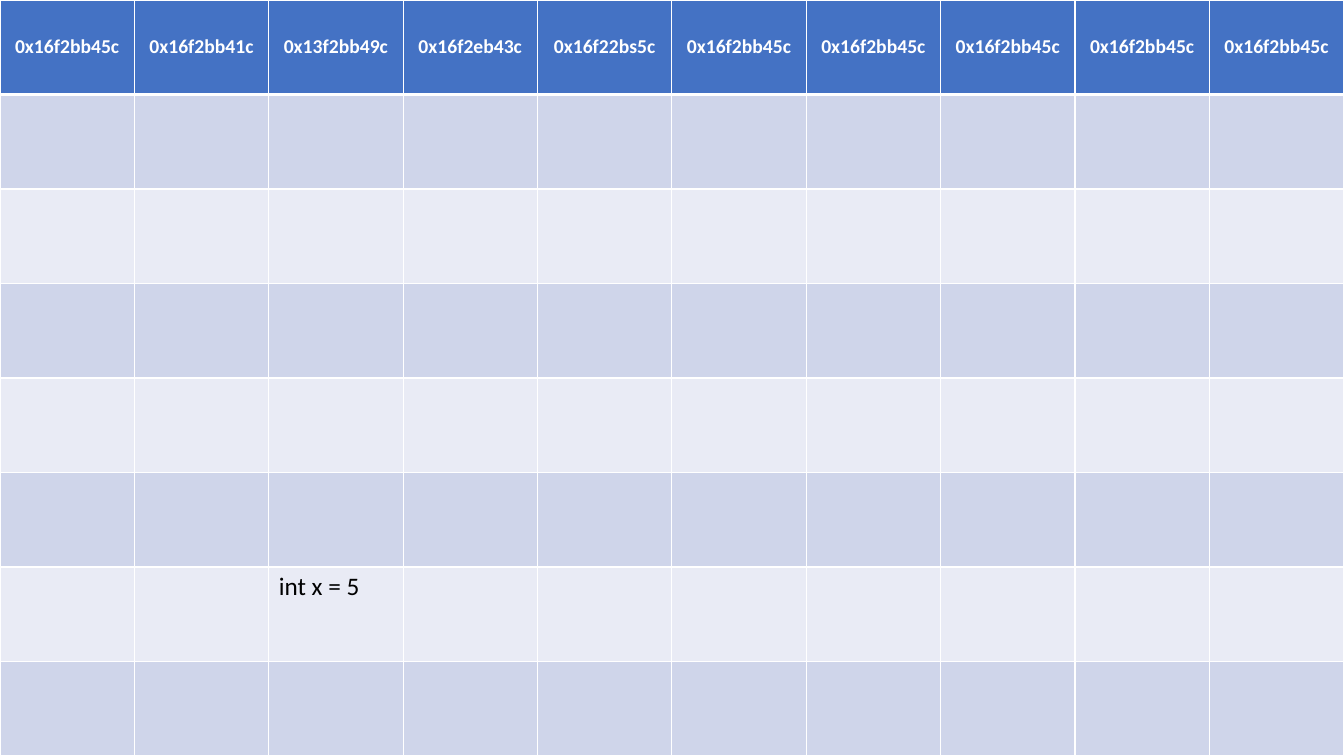
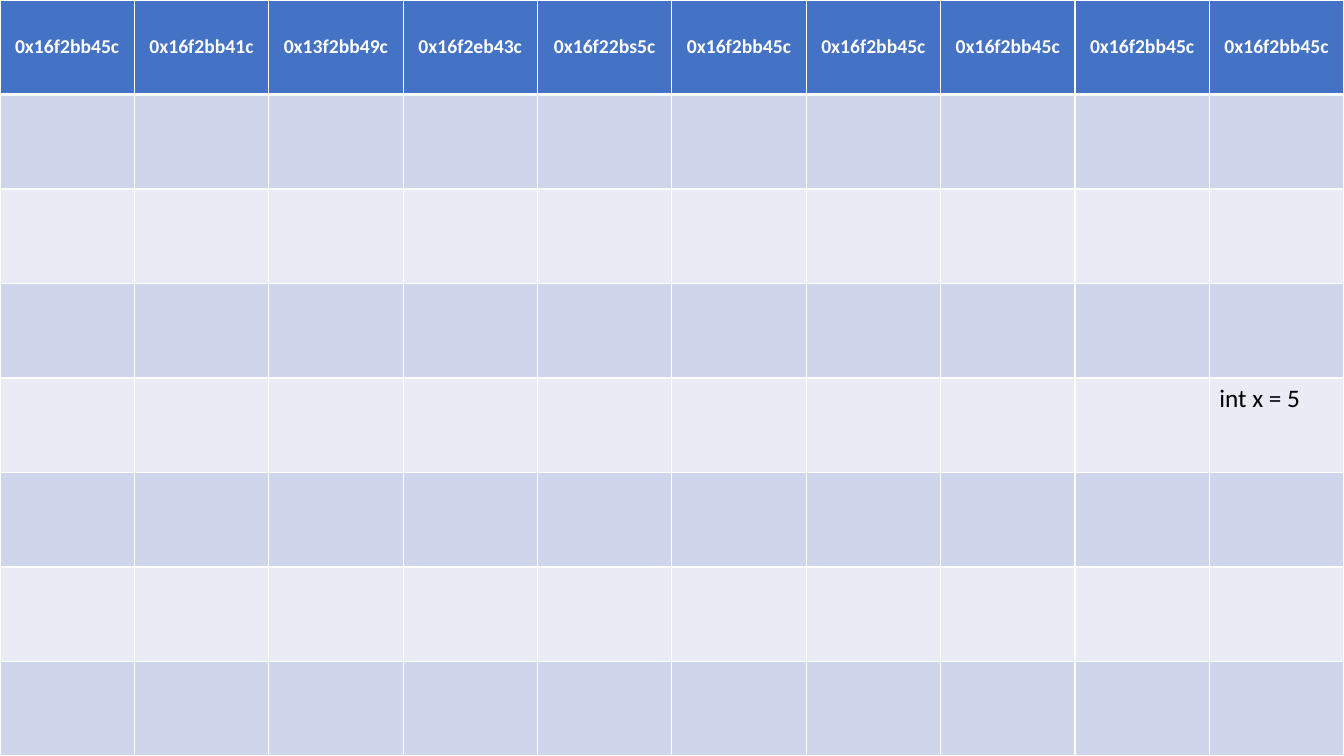
from dataclasses import dataclass

import lxml.etree
import pptx
import pptx.dml.color
import pptx.enum.text
import pptx.oxml.ns
import pptx.presentation
import pptx.table
import pptx.util

Pt = pptx.util.Pt
qn = pptx.oxml.ns.qn

# Shared look
COLORS = {
    "header": "4472C4",
    "odd_row": "CFD5EA",
    "even_row": "E9EBF5",
    "grid": "FFFFFF",
    "address": "FFFFFF",
    "variable": "000000",
}
FONT = "Calibri"
SLIDE_WIDTH, SLIDE_HEIGHT = 960, 540
ROW_COUNT = 8
GRID_LINE, HEADER_LINE = 1, 3

ADDRESSES = ["0x16f2bb45c", "0x16f2bb41c", "0x13f2bb49c", "0x16f2eb43c", "0x16f22bs5c"]
ADDRESSES += ["0x16f2bb45c"] * 5


@dataclass(frozen=True)
class StoredVariable:
    """A declaration and the memory cell that holds it."""
    declaration: str
    row: int
    column: int


MEMORY_STATES = [
    StoredVariable("int x = 5", row=6, column=2),
    StoredVariable("int x = 5", row=4, column=9),
]


def rgb(name: str) -> pptx.dml.color.RGBColor:
    return pptx.dml.color.RGBColor.from_string(COLORS[name])


def add_borders(cell: pptx.table._Cell, top: float, bottom: float) -> None:
    """Draw the four cell borders; call before filling the cell."""
    properties = cell._tc.get_or_add_tcPr()
    widths = {"a:lnL": GRID_LINE, "a:lnR": GRID_LINE, "a:lnT": top, "a:lnB": bottom}
    for tag, width in widths.items():
        line = lxml.etree.SubElement(properties, qn(tag), w=str(Pt(width)))
        fill = lxml.etree.SubElement(line, qn("a:solidFill"))
        lxml.etree.SubElement(fill, qn("a:srgbClr"), val=COLORS["grid"])


def write(cell: pptx.table._Cell, text: str, size: float, color: str, bold: bool) -> None:
    cell.text_frame.text = text
    font = cell.text_frame.paragraphs[0].runs[0].font
    font.name, font.size, font.bold = FONT, Pt(size), bold
    font.color.rgb = rgb(color)


def row_color(row: int) -> str:
    if row == 0:
        return "header"
    return "odd_row" if row % 2 else "even_row"


def add_memory_slide(deck: pptx.presentation.Presentation, variable: StoredVariable) -> None:
    slide = deck.slides.add_slide(deck.slide_layouts[6])
    memory = slide.shapes.add_table(
        ROW_COUNT, len(ADDRESSES), 0, 0, Pt(SLIDE_WIDTH), Pt(SLIDE_HEIGHT)
    ).table

    # Even grid over the whole slide
    for column in memory.columns:
        column.width = Pt(SLIDE_WIDTH / len(ADDRESSES))
    for row in memory.rows:
        row.height = Pt(SLIDE_HEIGHT / ROW_COUNT)

    # Borders and banded rows
    for index, row in enumerate(memory.rows):
        for cell in row.cells:
            add_borders(
                cell,
                top=HEADER_LINE if index == 1 else GRID_LINE,
                bottom=HEADER_LINE if index == 0 else GRID_LINE,
            )
            cell.fill.solid()
            cell.fill.fore_color.rgb = rgb(row_color(index))

    # Address header
    for cell, address in zip(memory.rows[0].cells, ADDRESSES):
        write(cell, address, 14, "address", bold=True)
        cell.vertical_anchor = pptx.enum.text.MSO_ANCHOR.MIDDLE
        cell.text_frame.paragraphs[0].alignment = pptx.enum.text.PP_ALIGN.CENTER

    # Stored variable
    write(memory.cell(variable.row, variable.column), variable.declaration,
          18, "variable", bold=False)


def main() -> None:
    deck = pptx.Presentation()
    deck.slide_width, deck.slide_height = Pt(SLIDE_WIDTH), Pt(SLIDE_HEIGHT)
    for variable in MEMORY_STATES:
        add_memory_slide(deck, variable)
    deck.save("out.pptx")


if __name__ == "__main__":
    main()
